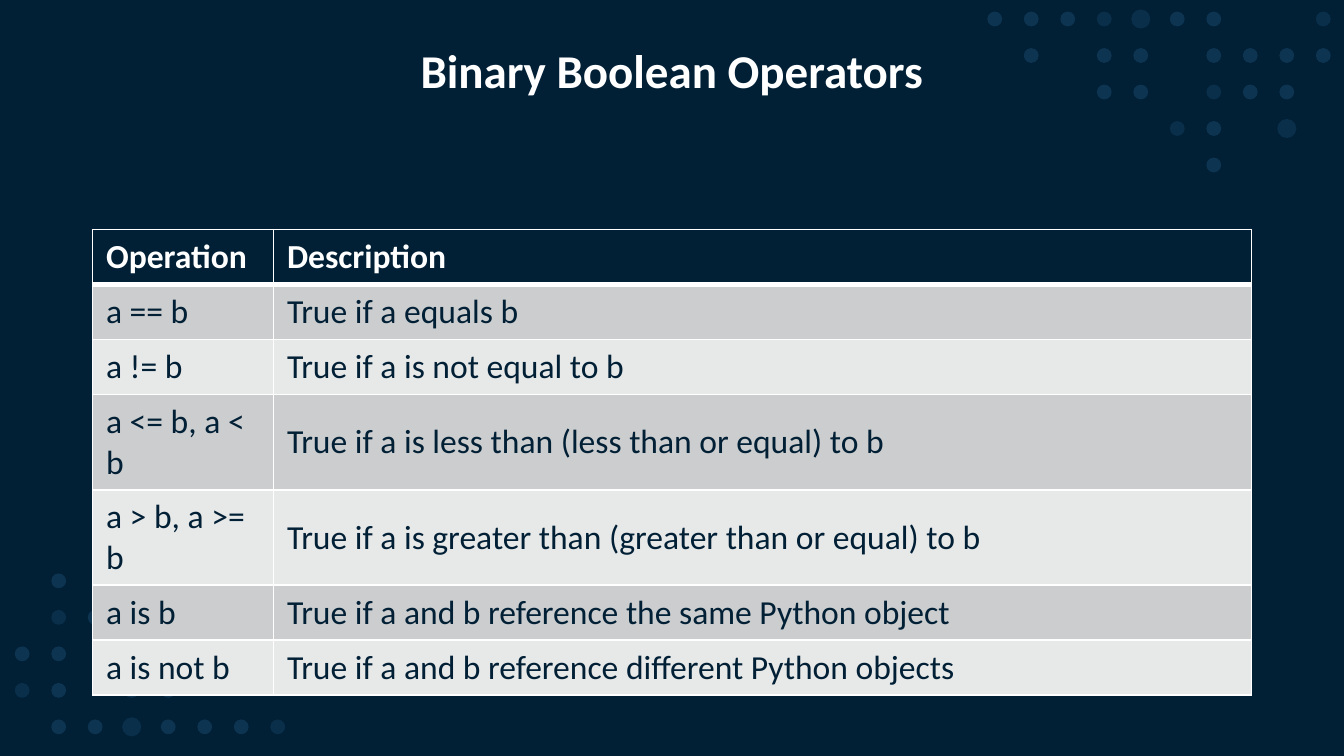
from lxml.etree import SubElement
from pptx import Presentation
from pptx.dml.color import RGBColor
from pptx.enum.shapes import MSO_SHAPE
from pptx.enum.text import MSO_ANCHOR, PP_ALIGN
from pptx.oxml.ns import qn
from pptx.util import Cm, Pt

FONT = "Calibri"
NAVY, WHITE, SKY = "012036", "FFFFFF", "5CB5FF"
BAND_FILLS = ("CCCDCE", "E7E8E8")

DOT_PITCH = Cm(0.69)
# Mark in a dot pattern: (diameter, opacity in percent)
DOT_STYLES = {"o": (Cm(0.28), 14), ".": (Cm(0.28), 10), "O": (Cm(0.36), 10)}
TOP_DOTS = (
    "ooo.Ooo  .",
    " o oo oooo",
    "   oo .oo",
    "     .o O",
    "      o",
)
BOTTOM_DOTS = (
    " o",
    " .o",
    "oo o.",
    ".o oo",
    " ooOooo.",
)

OPERATORS = (
    ("Operation", "Description"),
    ("a == b", "True if a equals b"),
    ("a != b", "True if a is not equal to b"),
    ("a <= b, a < b", "True if a is less than (less than or equal) to b"),
    ("a > b, a >= b", "True if a is greater than (greater than or equal) to b"),
    ("a is b", "True if a and b reference the same Python object"),
    ("a is not b", "True if a and b reference different Python objects"),
)
LINE_ROW, WRAPPED_ROW = Cm(1.04), Cm(1.8)
WRAPPED_ROWS = (3, 4)


def color(hex_code):
    return RGBColor.from_string(hex_code)


def style_run(run, size, hex_code, bold):
    run.font.name = FONT
    run.font.size = Pt(size)
    run.font.bold = bold
    run.font.color.rgb = color(hex_code)


def add_dots(slide, left, top, pattern):
    """Draw a pattern of translucent dots; left and top are the first dot's centre."""
    for row, marks in enumerate(pattern):
        for column, mark in enumerate(marks):
            if mark == " ":
                continue
            diameter, opacity = DOT_STYLES[mark]
            dot = slide.shapes.add_shape(
                MSO_SHAPE.OVAL,
                left + column * DOT_PITCH - diameter // 2,
                top + row * DOT_PITCH - diameter // 2,
                diameter, diameter)
            dot.shadow.inherit = False
            dot.line.fill.background()
            dot.fill.solid()
            dot.fill.fore_color.rgb = color(SKY)
            tint = dot.element.spPr.find(qn("a:solidFill")).find(qn("a:srgbClr"))
            SubElement(tint, qn("a:alpha"), val=str(opacity * 1000))


def add_title(slide, left, top, width, height, wording):
    frame = slide.shapes.add_textbox(left, top, width, height).text_frame
    frame.word_wrap = True
    frame.vertical_anchor = MSO_ANCHOR.MIDDLE
    frame.text = wording
    heading = frame.paragraphs[0]
    heading.alignment = PP_ALIGN.CENTER
    heading.line_spacing = 0.9
    style_run(heading.runs[0], 25.2, WHITE, True)


def add_borders(cell, top, bottom):
    """Rule a cell in white; top and bottom are line widths in points."""
    properties = cell._tc.get_or_add_tcPr()
    for side, points in (("L", 1), ("R", 1), ("T", top), ("B", bottom)):
        rule = SubElement(properties, qn(f"a:ln{side}"), w=str(Pt(points)))
        SubElement(SubElement(rule, qn("a:solidFill")), qn("a:srgbClr"), val=WHITE)


def add_operator_table(slide, left, top, width, height):
    table = slide.shapes.add_table(
        len(OPERATORS), 2, left, top, width, height).table
    operation_width = Cm(3.42)
    table.columns[0].width = operation_width
    table.columns[1].width = width - operation_width

    for row, entries in enumerate(OPERATORS):
        header = row == 0
        table.rows[row].height = WRAPPED_ROW if row in WRAPPED_ROWS else LINE_ROW
        for column, entry in enumerate(entries):
            cell = table.cell(row, column)
            add_borders(cell, top=3 if row == 1 else 1, bottom=3 if header else 1)
            cell.fill.solid()
            cell.fill.fore_color.rgb = color(
                NAVY if header else BAND_FILLS[(row - 1) % 2])
            cell.vertical_anchor = MSO_ANCHOR.TOP if header else MSO_ANCHOR.MIDDLE
            cell.text_frame.text = entry
            style_run(cell.text_frame.paragraphs[0].runs[0], 18,
                      WHITE if header else NAVY, header)


def main():
    deck = Presentation()
    deck.slide_width, deck.slide_height = Cm(25.4), Cm(14.29)
    slide = deck.slides.add_slide(deck.slide_layouts[6])
    slide.background.fill.solid()
    slide.background.fill.fore_color.rgb = color(NAVY)

    margin = Cm(1.75)
    content_width = deck.slide_width - 2 * margin
    add_dots(slide, Cm(18.8), Cm(0.36), TOP_DOTS)
    add_dots(slide, Cm(0.42), Cm(10.98), BOTTOM_DOTS)
    add_title(slide, margin, Cm(0.76), content_width, Cm(1.27),
              "Binary Boolean Operators")
    add_operator_table(slide, margin, Cm(4.34), content_width, Cm(8.8))
    deck.save("out.pptx")


if __name__ == "__main__":
    main()
